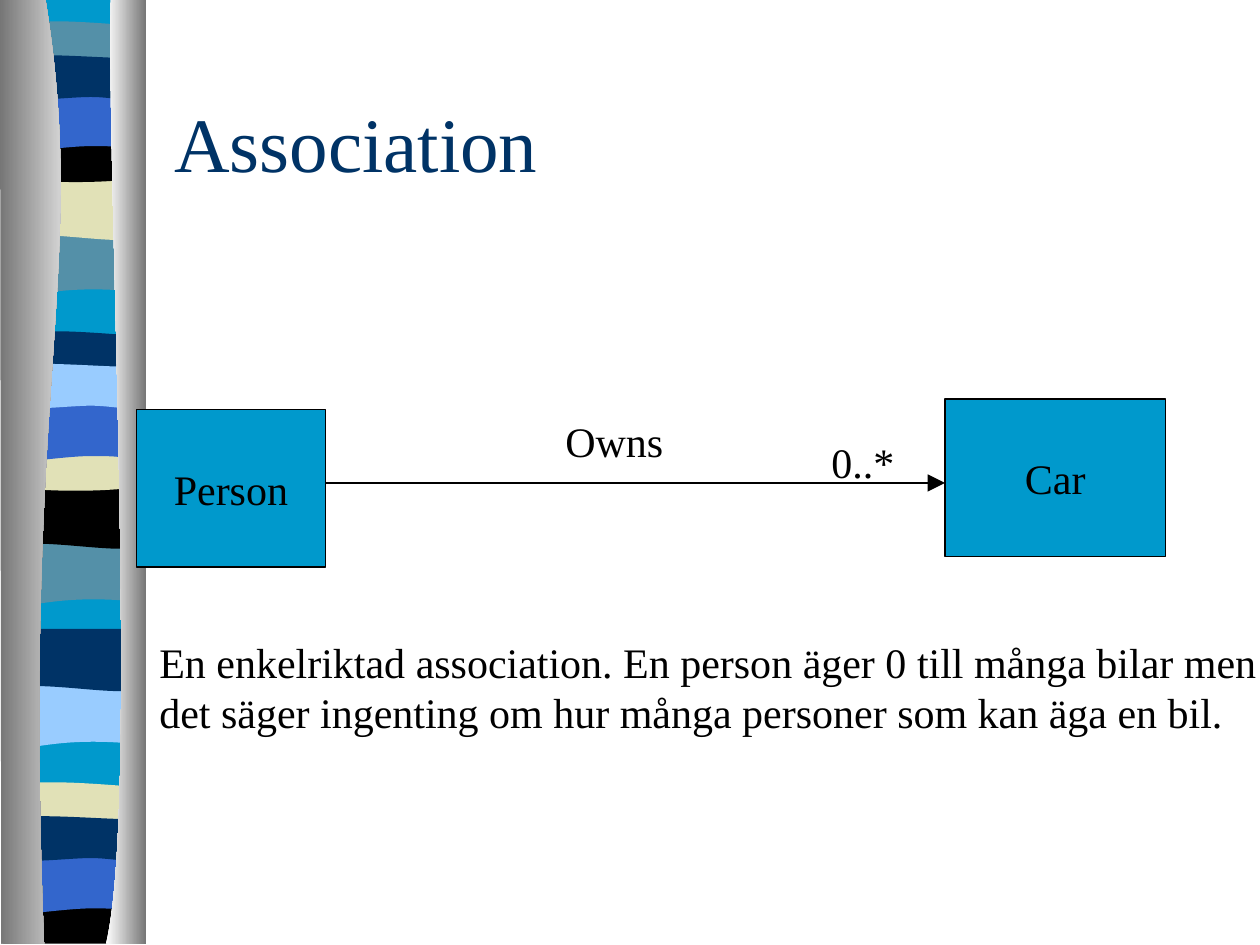
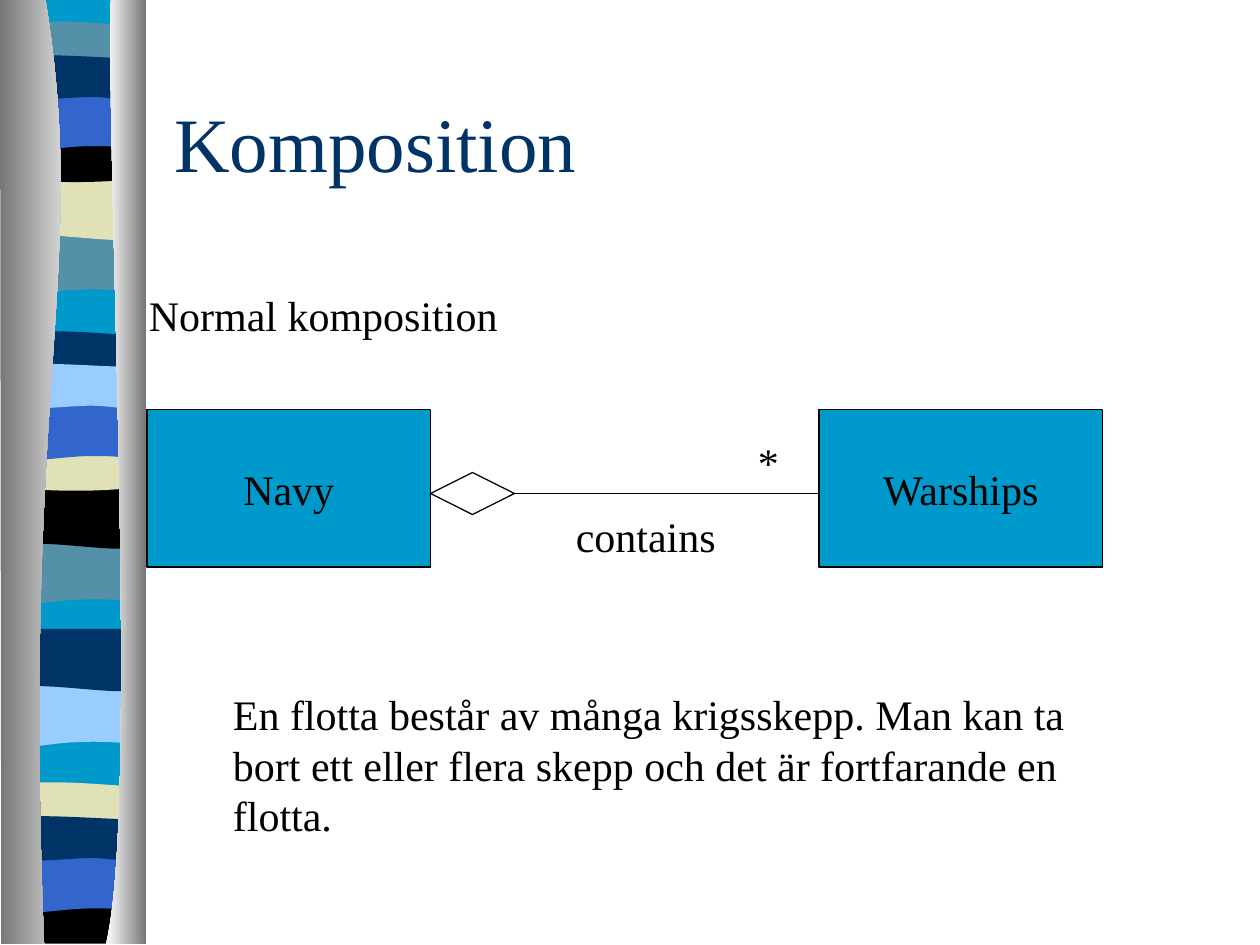
import dataclasses

import lxml.etree
import pptx
import pptx.dml.color
import pptx.enum.shapes
import pptx.enum.text
import pptx.oxml.ns
import pptx.util

Pt = pptx.util.Pt
qn = pptx.oxml.ns.qn
SHAPE = pptx.enum.shapes.MSO_SHAPE
ALIGN = pptx.enum.text.PP_ALIGN
ANCHOR = pptx.enum.text.MSO_ANCHOR
FIT = pptx.enum.text.MSO_AUTO_SIZE


@dataclasses.dataclass(frozen=True)
class Theme:
    face: str = "Times New Roman"
    head: int = 44
    text: int = 24
    gap: int = 15
    rule: float = 0.75
    ink: str = "000000"
    navy: str = "003366"
    cyan: str = "0099CC"
    teal: str = "5490A8"
    sand: str = "E1E1B7"
    blue: str = "3366CC"
    sky: str = "99CCFF"
    dark: str = "767676"
    white: str = "FFFFFF"


THEME = Theme()
WIDE, HIGH = pptx.util.Inches(10), pptx.util.Inches(7.5)
COLS = 120
CELL = WIDE // COLS
CENT = WIDE // 1000

WAVES = {
    "dip": [(108, 0), (108, 47), (33, 39, 18, 55, 0, 47), (0, 0)],
    "swell": [(108, 0), (108, 47), (90, 55, 33, 41, 0, 47), (0, 0)],
    "cap": [(108, 5), (108, 29), (90, 33, 18, 33, 0, 29), (0, 5),
            (6, 0, 23, 1, 41, 1), (59, 1, 94, 4, 108, 5)],
    "bowl": [(108, 0), (108, 32), (90, 38, 18, 38, 0, 32), (0, 0),
             (66, 5, 85, 0, 108, 0)],
    "arch": [(108, 0), (108, 47), (91, 42, 84, 42, 66, 42),
             (48, 42, 16, 47, 0, 47), (0, 0)],
    "roll": [(108, 5), (108, 36), (101, 41, 84, 36, 66, 36),
             (48, 36, 11, 41, 0, 36), (0, 5), (15, 0, 73, 5, 91, 5),
             (109, 5, 104, 5, 108, 5)],
    "foot": [(108, 0), (108, 37), (0, 37), (0, 0), (66, 5, 85, 0, 108, 0)],
    "base": [(108, 0), (108, 748), (0, 748), (0, 0)],
}
BANDS = [
    ("base", -1, "cyan"),
    ("dip", 185, "teal"), ("swell", 141, "sand"), ("cap", 16, "teal"),
    ("bowl", 108, "ink"), ("arch", 74, "blue"), ("roll", 41, "navy"),
    ("dip", 431, "teal"), ("swell", 386, "ink"), ("cap", 262, "navy"),
    ("bowl", 353, "sand"), ("arch", 320, "blue"), ("roll", 286, "sky"),
    ("dip", 544, "sky"), ("swell", 499, "navy"), ("cap", 620, "sand"),
    ("foot", 712, "ink"), ("arch", 679, "blue"), ("roll", 645, "navy"),
]
METAL = [
    ([(36, -1), (71, 216, 17, 296, 35, 749), (1, 749), (0, -1)],
     ("dark", "white")),
    ([(88, -1), (84, 125, 111, 646, 84, 749), (116, 749), (116, 0)],
     ("white", "dark")),
]


def tint(name):
    return pptx.dml.color.RGBColor.from_string(getattr(THEME, name))


def apply(part, **vals):
    for key, val in vals.items():
        setattr(part, key, val)


def place(part, box):
    names = ("left", "top", "width", "height")
    apply(part, **{key: round(val * CELL) for key, val in zip(names, box)})


def bend(form, steps):
    nodes = iter(list(form.element.iter(qn("a:lnTo"))))
    for step in steps[1:]:
        node = next(nodes)
        if len(step) == 6:
            node.tag = qn("a:cubicBezTo")
            for extra in (next(nodes), next(nodes)):
                node.append(extra[0])
                extra.getparent().remove(extra)


def carve(shapes, steps, left, top):
    spots = [((step[num] + left) * CENT, (step[num + 1] + top) * CENT)
             for step in steps for num in range(0, len(step), 2)]
    pen = shapes.build_freeform(*spots[0], scale=1.0)
    pen.add_line_segments(spots[1:], close=True)
    form = pen.convert_to_shape()
    bend(form, steps)
    form.shadow.inherit = False
    form.line.fill.background()
    return form


def ribbon(deck, slide, left):
    forms = []
    for wave, top, shade in BANDS:
        form = carve(slide.shapes, WAVES[wave], left, top)
        form.fill.solid()
        form.fill.fore_color.rgb = tint(shade)
        forms.append(form)
    for steps, shades in METAL:
        form = carve(slide.shapes, steps, 0, 0)
        form.fill.gradient()
        form.fill.gradient_angle = 0
        for stop, shade, spot in zip(form.fill.gradient_stops, shades, (0, 1)):
            stop.color.rgb = tint(shade)
            stop.position = spot
        forms.append(form)
    group = slide.shapes.add_group_shape(forms)
    tree = deck.slide_master.shapes.element
    tree.append(group.element)
    for num, node in enumerate(tree.iter(qn("p:cNvPr")), 1):
        node.set("id", str(num))


def write(frame, words, size=THEME.text, shade="ink", align=ALIGN.LEFT, gap=0, **form):
    apply(frame, **form)
    para = frame.paragraphs[0]
    apply(para, alignment=align, space_before=Pt(gap))
    run = para.add_run()
    run.text = words
    apply(run.font, name=THEME.face, size=Pt(size))
    run.font.color.rgb = tint(shade)


def stroke(part):
    part.line.color.rgb = tint("ink")
    part.line.width = Pt(THEME.rule)


def header(slide, words, box):
    title = slide.shapes.title
    place(title, box)
    write(title.text_frame, words, THEME.head, "navy", auto_size=FIT.NONE,
          vertical_anchor=ANCHOR.MIDDLE, word_wrap=True)


def label(slide, words, box, align=ALIGN.LEFT):
    note = slide.shapes.add_textbox(0, 0, 0, 0)
    place(note, box)
    write(note.text_frame, words, align=align, gap=THEME.gap,
          word_wrap=True, auto_size=FIT.SHAPE_TO_FIT_TEXT)


def shape(slide, kind, box):
    form = slide.shapes.add_shape(kind, 0, 0, 0, 0)
    place(form, box)
    form.shadow.inherit = False
    form.fill.background()
    stroke(form)
    return form


def entry(slide, words, box):
    form = shape(slide, SHAPE.RECTANGLE, box)
    form.fill.solid()
    form.fill.fore_color.rgb = tint("cyan")
    write(form.text_frame, words, align=ALIGN.CENTER, word_wrap=False,
          vertical_anchor=ANCHOR.MIDDLE)


def link(slide, start, end, row, arrow=False):
    ends = [round(val * CELL) for val in (start, row, end, row)]
    line = slide.shapes.add_connector(
        pptx.enum.shapes.MSO_CONNECTOR.STRAIGHT, *ends)
    stroke(line)
    props = line.element.spPr
    if arrow:
        lxml.etree.SubElement(props.find(qn("a:ln")), qn("a:tailEnd"),
                              type="triangle", w="lg", len="lg")
    lxml.etree.SubElement(props, qn("a:effectLst"))


def owns(slide, box):
    left, top, width, high = box
    entry(slide, "Person", (left, top + 1, 18, high))
    entry(slide, "Car", (left + width - 21, top, 21, high))
    link(slide, left + 18, left + width - 21, top + 8, arrow=True)
    label(slide, "Owns ", (left + 33, top + 1, 26, 6), ALIGN.CENTER)
    label(slide, "0..*", (left + 65, top + 3, 13, 6))


def holds(slide, box):
    left, top, width, high = box
    side, mid = 27, top + 8
    entry(slide, "Navy", (left, top, side, high))
    entry(slide, "Warships", (left + width - side, top, side, high))
    link(slide, left + side + 8, left + width - side, mid)
    label(slide, "contains", (left + 37, mid + 1, 21, 6), ALIGN.CENTER)
    shape(slide, SHAPE.FLOWCHART_DECISION, (left + side, mid - 2, 8, 4))
    label(slide, "*", (left + 57, top + 2, 5, 6))


PAGES = [
    ("Association", owns, (13, 38, 98, 15), [
        ("En enkelriktad association. En person äger 0 till många bilar men "
         "det säger ingenting om hur många personer som kan äga en bil.",
         (14, 60, 109, 10.8))]),
    ("Komposition", holds, (14, 39, 91, 15), [
        ("En flotta består av många krigsskepp. Man kan ta bort ett eller "
         "flera skepp och det är fortfarande en flotta.", (21, 65, 87, 15.6)),
        ("Normal komposition", (13, 27, 48, 6))]),
]


def main():
    deck = pptx.Presentation()
    apply(deck, slide_width=WIDE, slide_height=HIGH)
    for num, (title, draw, box, notes) in enumerate(PAGES):
        slide = deck.slides.add_slide(deck.slide_layouts[5])
        if num == 0:
            ribbon(deck, slide, 6)
        header(slide, title, (15.4, 6, 102, 15))
        draw(slide, box)
        for words, spot in notes:
            label(slide, words, spot)
    deck.save("out.pptx")


if __name__ == "__main__":
    main()
